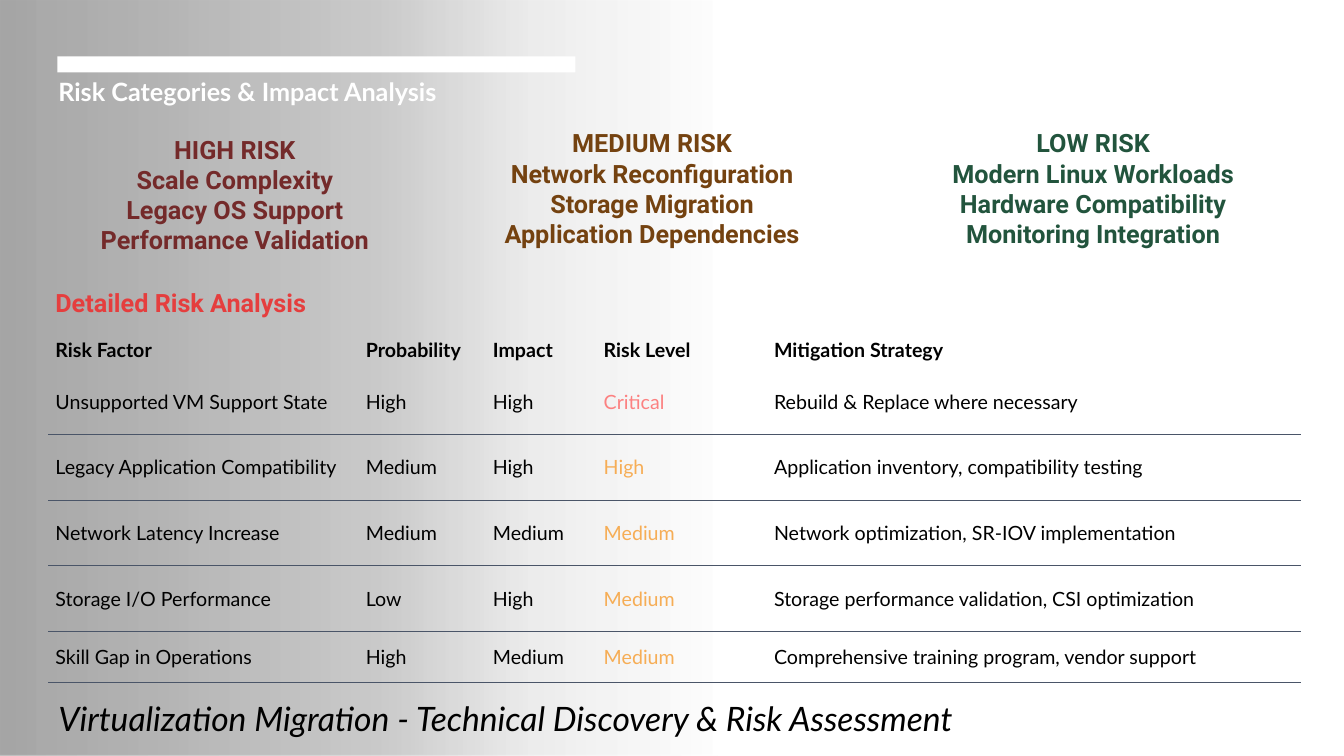
from dataclasses import dataclass

import pptx
import pptx.dml.color
import pptx.enum.shapes
import pptx.enum.text
import pptx.oxml
import pptx.oxml.ns
import pptx.util

COLUMNS, ROWS = 40, 24  # slide grid
WIDTH, HEIGHT = pptx.util.Inches(13.33), pptx.util.Inches(7.5)
ALIGN = pptx.enum.text.PP_ALIGN
ANCHOR = pptx.enum.text.MSO_ANCHOR


@dataclass(frozen=True)
class Theme:
    body_font: str = "Lato"
    accent_font: str = "Roboto"
    title_size: float = 24
    heading_size: float = 18
    table_size: float = 14
    rule_width: float = 0.6
    paper: str = "FFFFFF"
    ink: str = "000000"
    rule: str = "4A5568"
    high: str = "742A2A"
    medium: str = "744210"
    low: str = "22543D"
    detail: str = "E53E3E"
    critical_level: str = "FC8181"
    other_level: str = "F6AD55"


THEME = Theme()


@dataclass(frozen=True)
class Box:
    """An area in grid columns and rows."""
    column: float
    row: float
    columns: float
    rows: float

    def inner(self, column, row, columns, rows):
        return Box(self.column + column, self.row + row, columns, rows)

    def place(self):
        return across(self.column), down(self.row), across(self.columns), down(self.rows)


def across(columns):
    return int(WIDTH * columns / COLUMNS)


def down(rows):
    return int(HEIGHT * rows / ROWS)


def rgb(color):
    return pptx.dml.color.RGBColor.from_string(color)


def write(frame, *lines, font=THEME.body_font, size=THEME.heading_size, color=THEME.ink,
          bold=False, italic=False, align=ALIGN.LEFT, anchor=ANCHOR.TOP, spacing=None):
    frame.word_wrap = True
    frame.vertical_anchor = anchor
    for index, line in enumerate(lines):
        para = frame.paragraphs[0] if index == 0 else frame.add_paragraph()
        para.alignment = align
        para.line_spacing = spacing
        span = para.add_run()
        span.text = line
        span.font.name = font
        span.font.size = pptx.util.Pt(size)
        span.font.bold = bold
        span.font.italic = italic
        span.font.color.rgb = rgb(color)


def add_text(page, box, *lines, **style):
    write(page.shapes.add_textbox(*box.place()).text_frame, *lines, **style)


def add_block(page, box):
    block = page.shapes.add_shape(pptx.enum.shapes.MSO_SHAPE.RECTANGLE, *box.place())
    block.shadow.inherit = False
    block.line.fill.background()
    block.fill.solid()
    block.fill.fore_color.rgb = rgb(THEME.paper)
    return block


def draw_backdrop(page, box):
    page.background.fill.solid()
    page.background.fill.fore_color.rgb = rgb(THEME.paper)
    # Dark veil that fades out towards the right
    veil = add_block(page, box)
    veil.fill.gradient()
    veil.fill.gradient_angle = 0
    stops = veil._element.spPr.find(".//" + pptx.oxml.ns.qn("a:gsLst"))
    for stop in list(stops):
        stops.remove(stop)
    for position, opacity in ((0, 35), (54, 20), (74, 7), (100, 0)):
        stops.append(pptx.oxml.parse_xml(
            f'<a:gs {pptx.oxml.ns.nsdecls("a")} pos="{position * 1000}">'
            f'<a:srgbClr val="{THEME.ink}"><a:alpha val="{opacity * 1000}"/></a:srgbClr></a:gs>'))


def draw_title(page, box):
    title = page.shapes.title
    title.left, title.top, title.width, title.height = box.place()
    title.text_frame.auto_size = pptx.enum.text.MSO_AUTO_SIZE.NONE
    write(title.text_frame, "Virtualization Migration - Technical Discovery & Risk Assessment",
          size=THEME.title_size, italic=True, anchor=ANCHOR.BOTTOM, spacing=1.1)
    page.shapes._spTree.append(title._element)  # in front of the veil


def draw_heading(page, box):
    add_block(page, box.inner(0.27, 0, 15.42, 0.51))
    add_text(page, box.inner(0, 0.48, 14.22, 1.28), "Risk Categories & Impact Analysis",
             color=THEME.paper, bold=True)


def draw_categories(page, box):
    categories = (
        (0, 0.2, 12.06, THEME.high,
         ("HIGH RISK", "Scale Complexity", "Legacy OS Support", "Performance Validation")),
        (12.03, 0, 12.84, THEME.medium,
         ("MEDIUM RISK", "Network Reconfiguration", "Storage Migration",
          "Application Dependencies")),
        (26.19, 0, 10.77, THEME.low,
         ("LOW RISK", "Modern Linux Workloads", "Hardware Compatibility",
          "Monitoring Integration")),
    )
    for column, row, columns, color, lines in categories:
        add_text(page, box.inner(column, row, columns, 4.19), *lines,
                 font=THEME.accent_font, color=color, bold=True, align=ALIGN.CENTER)


def set_borders(cell, top, bottom):
    properties = cell._tc.get_or_add_tcPr()
    for side, shown in (("L", False), ("R", False), ("T", top), ("B", bottom)):
        fill = (f'<a:solidFill><a:srgbClr val="{THEME.rule}"/></a:solidFill>'
                if shown else "<a:noFill/>")
        properties.append(pptx.oxml.parse_xml(
            f'<a:ln{side} {pptx.oxml.ns.nsdecls("a")} '
            f'w="{pptx.util.Pt(THEME.rule_width)}">{fill}</a:ln{side}>'))


def draw_risk_table(page, box):
    records = (
        ("Risk Factor", "Probability", "Impact", "Risk Level", "Mitigation Strategy"),
        ("Unsupported VM Support State", "High", "High", "Critical",
         "Rebuild & Replace where necessary"),
        ("Legacy Application Compatibility", "Medium", "High", "High",
         "Application inventory, compatibility testing"),
        ("Network Latency Increase", "Medium", "Medium", "Medium",
         "Network optimization, SR-IOV implementation"),
        ("Storage I/O Performance", "Low", "High", "Medium",
         "Storage performance validation, CSI optimization"),
        ("Skill Gap in Operations", "High", "Medium", "Medium",
         "Comprehensive training program, vendor support"),
    )
    level_column = records[0].index("Risk Level")
    table = page.shapes.add_table(len(records), len(records[0]), *box.place()).table
    table.horz_banding = False
    for column, columns in zip(table.columns, (9.24, 3.78, 3.3, 5.07, 15.9)):
        column.width = across(columns)
    for row, rows in zip(table.rows, (1.22, 2.08, 2.08, 2.08, 2.08, 1.63)):
        row.height = down(rows)

    for r, record in enumerate(records):
        for c, entry in enumerate(record):
            cell = table.cell(r, c)
            set_borders(cell, top=r > 1, bottom=r > 0)
            cell.fill.background()
            cell.margin_left = cell.margin_right = pptx.util.Inches(0.07)
            cell.margin_top = cell.margin_bottom = pptx.util.Inches(0.07)
            cell.vertical_anchor = ANCHOR.MIDDLE
            color = THEME.ink
            if r > 0 and c == level_column:
                color = THEME.critical_level if entry == "Critical" else THEME.other_level
            write(cell.text_frame, entry, size=THEME.table_size, color=color,
                  bold=r == 0, anchor=None)


def draw_details(page, box):
    add_text(page, box.inner(0, 0, 23.13, 1.28), "Detailed Risk Analysis",
             font=THEME.accent_font, color=THEME.detail, bold=True)
    draw_risk_table(page, box.inner(0.09, 1.54, 37.29, 11.17))


def main():
    deck = pptx.Presentation()
    deck.slide_width, deck.slide_height = WIDTH, HEIGHT
    page = deck.slides.add_slide(deck.slide_layouts.get_by_name("Title Only"))
    draw_backdrop(page, Box(0, 0, 21.36, ROWS))
    draw_title(page, Box(1.44, 20.83, 28.68, 2.78))
    draw_heading(page, Box(1.44, 1.79, 15.69, 1.76))
    draw_categories(page, Box(0.96, 3.9, 36.96, 4.39))
    draw_details(page, Box(1.35, 8.96, 37.38, 12.71))
    deck.save("out.pptx")


if __name__ == "__main__":
    main()
